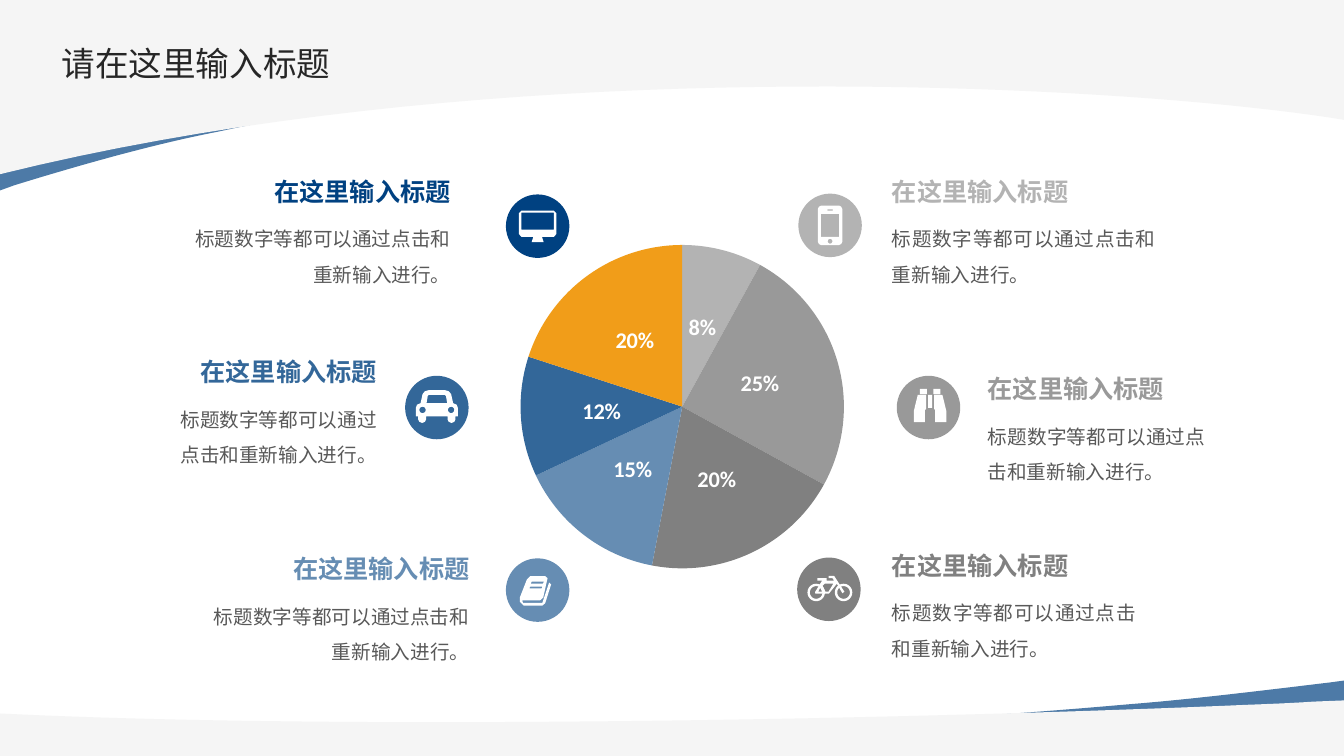
import math
import lxml.etree
import pptx
import pptx.chart.data
import pptx.dml.color
import pptx.enum.chart
import pptx.enum.shapes
import pptx.enum.text
import pptx.oxml
import pptx.oxml.ns
import pptx.util

Cm = pptx.util.Cm
Pt = pptx.util.Pt
RGB = pptx.dml.color.RGBColor.from_string
ALIGN = pptx.enum.text.PP_ALIGN
FONT = "Noto Sans CJK SC"
HEX = {
    "navy": "004181", "blue": "336799", "sky": "668DB3", "wave": "4D7AA7",
    "grey": "808080", "mid": "999999", "light": "B3B3B3", "gold": "F19D19",
    "pale": "F5F5F5", "white": "FFFFFF", "title": "262626", "body": "595959",
}

deck = pptx.Presentation()
deck.slide_width, deck.slide_height = Cm(33.87), Cm(19.05)
slide = deck.slides.add_slide(deck.slide_layouts[6])
shapes = slide.shapes


def trace(loops, tint, left=0, top=0, unit=1):
    pen = None
    for loop in loops:
        if isinstance(loop, tuple):
            cx, cy, r = loop
            turns = [math.tau * i / 32 for i in range(32)]
            dots = [(cx + r * math.cos(t), cy + r * math.sin(t)) for t in turns]
        else:
            dots = []
            for part in loop:
                if len(part) == 2:
                    dots.append(part)
                    continue
                ends = [dots[-1], part[:2], part[2:4], part[4:]]
                for i in range(1, 41):
                    t = i / 40
                    mix = ((1 - t) ** 3, 3 * t * (1 - t) ** 2, 3 * t * t * (1 - t), t ** 3)
                    dots.append(tuple(sum(m * e[k] for m, e in zip(mix, ends)) for k in (0, 1)))
        dots = [(Cm(left + x * unit), Cm(top + y * unit)) for x, y in dots]
        if pen is None:
            pen = shapes.build_freeform(*dots[0])
        else:
            pen.move_to(*dots[0])
        pen.add_line_segments(dots[1:], close=True)
    form = pen.convert_to_shape()
    form.shadow.inherit = False
    form.fill.solid()
    form.fill.fore_color.rgb = RGB(HEX[tint])
    form.line.fill.background()


def write(text, left, top, width, height, size, tint, align, space, bold=False):
    frame = shapes.add_textbox(Cm(left), Cm(top), Cm(width), Cm(height)).text_frame
    frame.word_wrap = True
    para = frame.paragraphs[0]
    para.text = text
    para.alignment = align
    para.line_spacing = space
    font = para.font
    font.size, font.bold, font.name = Pt(size), bold, FONT
    font.color.rgb = RGB(HEX[tint])
    base = para._p.pPr.find(pptx.oxml.ns.qn("a:defRPr"))
    lxml.etree.SubElement(base, pptx.oxml.ns.qn("a:ea")).set("typeface", FONT)
    return frame


bands = [
    ("wave", [(0, 4.8), (0, 0.56), (33.87, 0.56), (33.87, 2.31),
              (26.21, 0.15, 13.06, 1.7, 5.44, 3.33), (3.91, 3.63, 2.18, 4.11, 0.36, 4.67)]),
    ("pale", [(0, 0), (33.87, 0), (33.87, 3.02), (28.96, 2.21, 13.13, 1.14, 0, 4.39)]),
    ("wave", [(33.87, 17.15), (33.87, 18.9), (0, 18.9), (0, 18.16),
              (7.65, 19.05, 20.83, 18.42, 28.42, 17.75), (29.95, 17.63, 31.67, 17.42, 33.5, 17.2)]),
    ("pale", [(33.87, 17.65), (33.87, 19.05), (0, 19.05), (0, 17.98), (1.12, 18.03),
              (9.96, 18.39, 23.11, 18.11, 30.99, 17.78), (31.65, 17.75, 32.39, 17.73, 33.12, 17.68)]),
]
for tint, band in bands:
    trace([band], tint)

head = write("请在这里输入标题", 1.35, 0.99, 30.48, 1.47, 24, "title", ALIGN.LEFT, 0.9)
head.margin_left = head.margin_top = Cm(0.2)

data = pptx.chart.data.CategoryChartData(number_format="0%")
data.categories = ["1", "2", "3", "4", "5", "6"]
data.add_series("Series 1", (0.08, 0.25, 0.2, 0.15, 0.12, 0.2))
chart = shapes.add_chart(pptx.enum.chart.XL_CHART_TYPE.PIE,
                         Cm(11.15), Cm(5.82), Cm(12.09), Cm(8.86), data).chart
chart.has_legend = chart.has_title = False
chart.font.name, chart.font.size, chart.font.bold = "Calibri", Pt(16), True
chart.font.color.rgb = RGB(HEX["white"])
pie = chart.plots[0]
pie.vary_by_categories = True
for i, tint in enumerate(("light", "mid", "grey", "sky", "blue", "gold")):
    slice = pie.series[0].points[i].format
    slice.fill.solid()
    slice.fill.fore_color.rgb = RGB(HEX[tint])
    slice.line.fill.background()
pie.has_data_labels = True
tags = pie.data_labels
tags.show_value, tags.show_percentage = True, False
tags.number_format, tags.number_format_is_linked = "0%", False
tags.position = pptx.enum.chart.XL_LABEL_POSITION.CENTER
tags.font.name, tags.font.size, tags.font.bold = "Calibri", Pt(16), True
tags.font.color.rgb = RGB(HEX["white"])
qn = pptx.oxml.ns.qn
area = chart._chartSpace.chart.plotArea
for old in area.findall(qn("c:layout")):
    area.remove(old)
plan = lxml.etree.Element(qn("c:layout"))
area.insert(0, plan)
grid = lxml.etree.SubElement(plan, qn("c:manualLayout"))
for key, val in (("layoutTarget", "inner"), ("xMode", "edge"), ("yMode", "edge"),
                 ("x", "0.16"), ("y", "0.04"), ("w", "0.68"), ("h", "0.92")):
    lxml.etree.SubElement(grid, qn("c:" + key)).set("val", val)

screen = [
    [(-4.1, -3.9), (4.1, -3.9), (4.7, -3.3), (4.7, 2), (4.1, 2.7), (1.1, 2.7), (1.5, 4),
     (-1.5, 4), (-1.1, 2.7), (-4.1, 2.7), (-4.7, 2), (-4.7, -3.3)],
    [(-4.1, -3.4), (4.1, -3.4), (4.1, 0.9), (-4.1, 0.9)],
]
phone = [
    [(-2.2, -5), (2.2, -5), (2.8, -4.7), (3.1, -4.1), (3.1, 4.1), (2.8, 4.7), (2.2, 5),
     (-2.2, 5), (-2.8, 4.7), (-3.1, 4.1), (-3.1, -4.1), (-2.8, -4.7)],
    [(-2.3, -2.9), (2.3, -2.9), (2.3, 2.9), (-2.3, 2.9)],
    [(-0.7, -4), (0.7, -4), (0.7, -3.7), (-0.7, -3.7)],
    (0, 4, 0.6),
]
barrel = [(-0.6, -3.2), (-2.7, -3.2), (-3.7, 0.9), (-3.7, 3.7), (-0.9, 3.7), (-0.9, 0.6), (-0.6, 0.4)]
cap = [(-2.2, -4.7), (-0.4, -4.7), (-0.4, -3.4), (-2.2, -3.4)]
scope = [barrel, cap, [(-0.1, -3.2), (0.9, -3.2), (0.9, 0.1), (-0.1, 0.1)]]
scope += [[(0.8 - x, y) for x, y in half] for half in (barrel, cap)]
side = [(2, -4.4), (3, -4.1), (3.6, -3.4), (4.1, -1.1), (5, -0.7), (5.3, 0.1), (5.3, 2.2),
        (4.7, 2.2), (4.7, 3), (4.4, 3.6), (3.7, 3.9), (3, 3.6), (2.7, 3), (2.7, 2.2)]
glass = [(2, -3.2), (2.3, -2.9), (2.6, -1.1)]
car = [half + [(-x, y) for x, y in reversed(half)] for half in (side, glass)]
car += [(-3.6, 0.6, 0.8), (3.6, 0.6, 0.8)]
book = [
    [(-1.9, -3.5), (1.9, -3.5), (2.5, -3), (1.4, 1.9), (0.6, 2.6), (-3.9, 2.6), (-3.7, 3.2),
     (1.2, 3.2), (2.9, -1.9), (3.4, -1.4), (1.9, 3.3), (1.2, 3.9), (-3.5, 3.9), (-4.5, 2.9),
     (-4.5, 1.9), (-2.7, -2.7)],
    [(-2.1, -0.4), (1, -0.4), (1.2, -0.9), (-1.9, -0.9)],
    [(-1.8, -1.6), (1.3, -1.6), (1.6, -2.1), (-1.5, -2.1)],
]
wheels = [(x, 0.8, r) for x in (-3.2, 3.7) for r in (2.2, 1.6)]
bike = [
    [(-3.4, 1.1), (0, 1.1), (2, -1.4), (3.4, 1), (3.9, 0.6), (1.3, -3.4), (-0.1, -3.4),
     (-0.1, -2.8), (0.9, -2.8), (1.3, -2.2), (-0.6, -2.2), (-0.6, -2.8), (-2.9, -2.8),
     (-2.9, -2.2), (-1.7, -2.2), (-3.5, 0.7)],
    [(-2.7, 0.6), (-1.7, 0.6), (-2.2, -0.4)],
    [(1.1, -1.4), (-1.1, -1.4), (-1.6, -0.9), (-0.9, 0.6), (-0.1, 0.6)],
]

items = [
    ("navy", 13.55, 5.7, [screen], 11.61, 4.5, 7.14, ALIGN.RIGHT),
    ("blue", 11.01, 10.27, [car], 9.75, 9.04, 5.89, ALIGN.RIGHT),
    ("sky", 13.55, 14.87, [book], 12.08, 14, 7.14, ALIGN.RIGHT),
    ("light", 20.92, 5.68, [phone], 22.23, 4.5, 7.14, ALIGN.LEFT),
    ("mid", 23.4, 10.27, [scope], 24.64, 9.47, 5.99, ALIGN.LEFT),
    ("grey", 20.89, 14.85, [wheels, bike], 22.23, 13.92, 6.65, ALIGN.LEFT),
]
for tint, cx, cy, icon, edge, top, wide, align in items:
    badge = shapes.add_shape(pptx.enum.shapes.MSO_SHAPE.OVAL, Cm(cx - 0.8), Cm(cy - 0.8), Cm(1.6), Cm(1.6))
    badge.shadow.inherit = False
    badge.fill.solid()
    badge.fill.fore_color.rgb = RGB(HEX[tint])
    badge.line.fill.background()
    for loops in icon:
        trace(loops, "white", cx, cy, 0.1)
    right = align == ALIGN.RIGHT
    write("标题数字等都可以通过点击和重新输入进行。", edge - wide * right, top + 0.81, wide, 1.96,
          14, "body", align if right else ALIGN.JUSTIFY, 1.5)
    name = write("在这里输入标题", edge - 5.41 * right, top, 5.41, 0.89, 18, tint, align, Pt(15), True)
    name.vertical_anchor = pptx.enum.text.MSO_ANCHOR.MIDDLE

deck.save("out.pptx")
